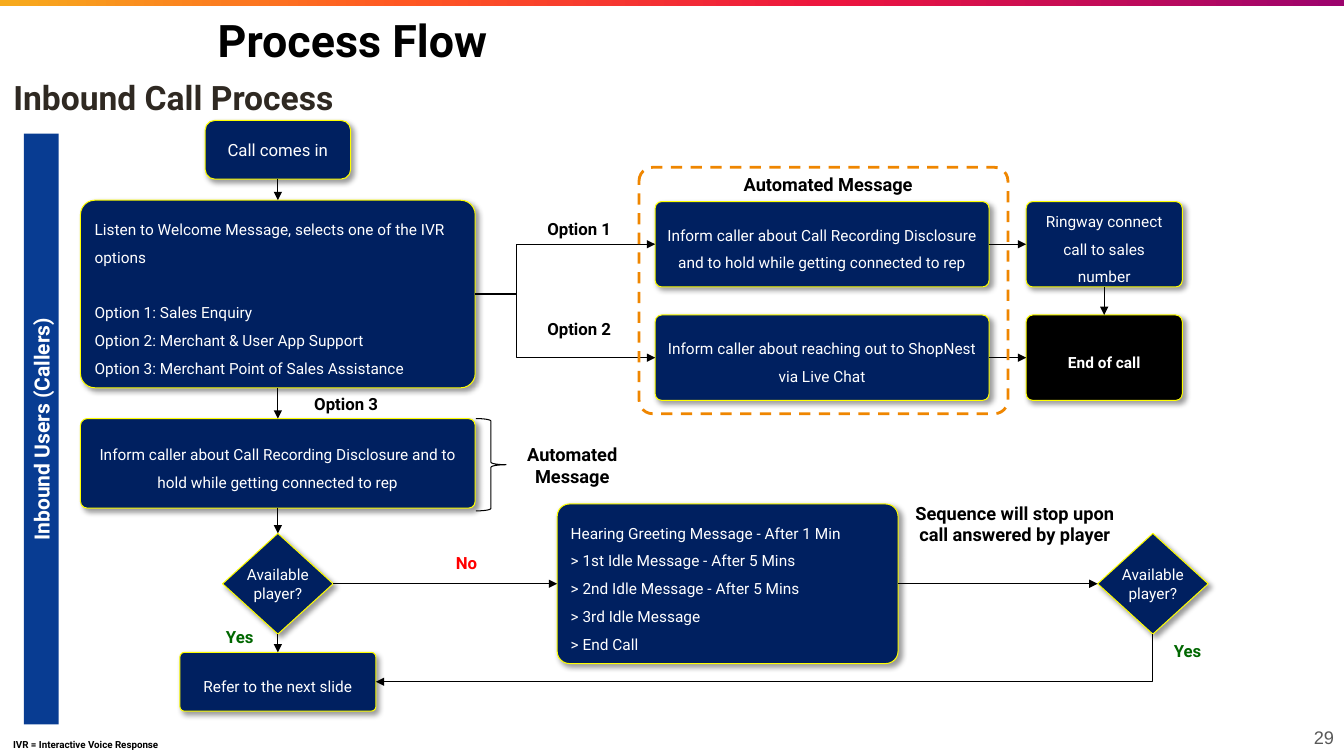
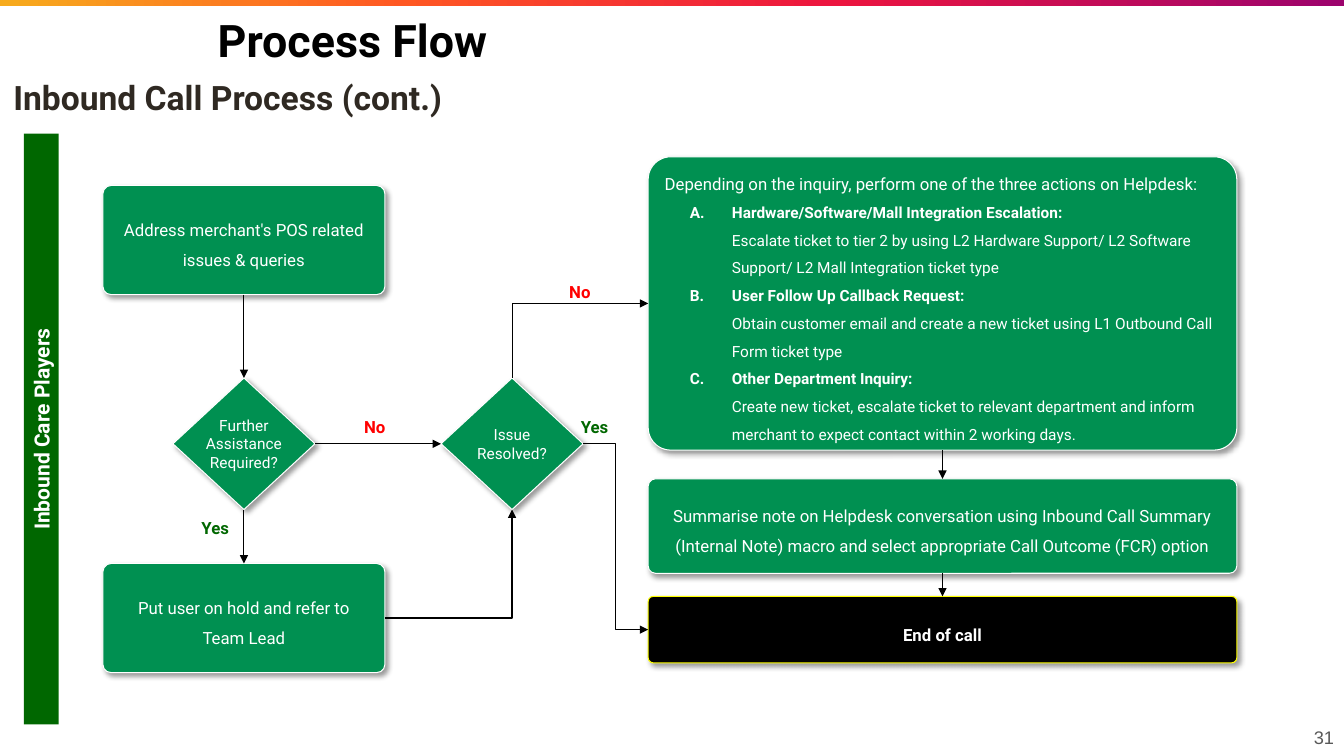
from dataclasses import dataclass

from lxml import etree
from pptx import Presentation
from pptx.dml.color import RGBColor
from pptx.enum.dml import MSO_LINE
from pptx.enum.shapes import MSO_CONNECTOR, MSO_SHAPE
from pptx.enum.text import MSO_ANCHOR, PP_ALIGN
from pptx.oxml.ns import qn
from pptx.util import Pt

LEFT, CENTER, RIGHT = PP_ALIGN.LEFT, PP_ALIGN.CENTER, PP_ALIGN.RIGHT
ANCHOR_TOP, ANCHOR_MIDDLE = MSO_ANCHOR.TOP, MSO_ANCHOR.MIDDLE
ROUNDED, DIAMOND, RECTANGLE = MSO_SHAPE.ROUNDED_RECTANGLE, MSO_SHAPE.DIAMOND, MSO_SHAPE.RECTANGLE
BRACE, DASH = MSO_SHAPE.RIGHT_BRACE, MSO_LINE.DASH
STRAIGHT, ELBOW = MSO_CONNECTOR.STRAIGHT, MSO_CONNECTOR.ELBOW
# Connection sites of rounded boxes and diamonds
NORTH, WEST, SOUTH, EAST = range(4)
CORNER = "corner"

COLORS = {
    "black": "000000", "white": "FFFFFF", "heading": "2F2922", "grey": "595959",
    "navy": "002060", "blue": "083C92", "green": "009051", "dark green": "006700",
    "yellow": "FFFF00", "red": "FF0000", "orange": "EF8600",
}
BAND_STOPS = [(0, "F7AB1D"), (30, "FF5722"), (62, "EC153F"), (100, "9C036D")]
LOOKS = {"navy": ("navy", "yellow"), "green": ("green", "white"), "end": ("black", "yellow")}
FONT = "Roboto"
LABEL_SIZE = (94.5, 24.5)
LABEL_INSETS = (9.4, 5)
BOX_INSETS = (7.2, 3.6)


@dataclass
class Node:
    """One step; a (heading, detail) pair among its lines becomes a lettered item."""
    place: tuple
    lines: list
    look: str = "navy"
    size: int = 11
    align: PP_ALIGN = CENTER
    shape: MSO_SHAPE = ROUNDED
    rounding: float = 0.077
    spacing: float = 1.5
    bold: bool = False
    gap_at: int = 0


def decision(place, lines, look):
    return Node(place, lines, look, shape=DIAMOND, spacing=1)


DISCLOSURE = ["Inform caller about Call Recording Disclosure and to hold while getting connected to rep"]
PLAYER = ["Available", "player?"]

CALLER_NODES = {
    "call": Node((146.5, 86, 104, 42), ["Call comes in"], size=12, rounding=0.167, spacing=1),
    "menu": Node((57.5, 143, 282, 134), [
        "Listen to Welcome Message, selects one of the IVR options",
        "Option 1: Sales Enquiry",
        "Option 2: Merchant & User App Support",
        "Option 3: Merchant Point of Sales Assistance"], align=LEFT, gap_at=1),
    "disclosure": Node((468, 144, 238.5, 61), DISCLOSURE),
    "chat": Node((468, 225, 238.5, 61), ["Inform caller about reaching out to ShopNest via Live Chat"]),
    "sales": Node((733, 144, 111.5, 61), ["Ringway connect call to sales number"]),
    "end": Node((733, 225, 111.5, 61), ["End of call"], "end", bold=True),
    "hold": Node((57.5, 299, 282, 64), DISCLOSURE),
    "idle": Node((398, 360, 243.5, 114), [
        "Hearing Greeting Message - After 1 Min", "> 1st Idle Message - After 5 Mins",
        "> 2nd Idle Message - After 5 Mins", "> 3rd Idle Message", "> End Call"], align=LEFT),
    "next": Node((128.5, 466, 140, 42), ["Refer to the next slide"]),
    "player": decision((159, 381, 79, 72), PLAYER, "navy"),
    "player later": decision((784, 381, 79, 72), PLAYER, "navy"),
}
# From, side, to, side, bend: None is straight, a number places the middle leg
CALLER_LINKS = [
    ("call", SOUTH, "menu", NORTH, None),
    ("menu", EAST, "disclosure", WEST, 0.23),
    ("menu", EAST, "chat", WEST, 0.23),
    ("disclosure", EAST, "sales", WEST, None),
    ("chat", EAST, "end", WEST, None),
    ("sales", SOUTH, "end", NORTH, None),
    ("menu", SOUTH, "hold", NORTH, None),
    ("hold", SOUTH, "player", NORTH, None),
    ("player", EAST, "idle", WEST, None),
    ("idle", EAST, "player later", WEST, None),
    ("player", SOUTH, "next", NORTH, None),
    ("player later", SOUTH, "next", EAST, CORNER),
]
# Text, place, colour, size
CALLER_LABELS = [
    ("Automated Message", (508.5, 119, 166, 25), "black", 13),
    ("Automated Message", (361.5, 312, 94.5, 41), "black", 13),
    ("Sequence will stop upon call answered by player", (641.5, 353.5, 166.5, 41), "black", 13),
    ("Option 1", (366.5, 151, *LABEL_SIZE), "black", 12),
    ("Option 2", (366.5, 223, *LABEL_SIZE), "black", 12),
    ("Option 3", (200, 276.5, *LABEL_SIZE), "black", 12),
    ("Yes", (124, 443, *LABEL_SIZE), "dark green", 12),
    ("No", (286, 390, *LABEL_SIZE), "red", 12),
    ("Yes", (801, 453, *LABEL_SIZE), "dark green", 12),
]

PLAYER_NODES = {
    "actions": Node((463, 112, 420.5, 209.5), [
        "Depending on the inquiry, perform one of the three actions on Helpdesk:",
        ("Hardware/Software/Mall Integration Escalation:",
         "Escalate ticket to tier 2 by using L2 Hardware Support/ L2 Software Support/ "
         "L2 Mall Integration ticket type"),
        ("User Follow Up Callback Request:",
         "Obtain customer email and create a new ticket using L1 Outbound Call Form ticket type"),
        ("Other Department Inquiry:",
         "Create new ticket, escalate ticket to relevant department and inform merchant "
         "to expect contact within 2 working days.")], "green", 12, LEFT),
    "summary": Node((463, 342, 420.5, 67.5), [
        "Summarise note on Helpdesk conversation using Inbound Call Summary "
        "(Internal Note) macro and select appropriate Call Outcome (FCR) option"], "green", 12),
    "end": Node((463, 426, 420.5, 47.5), ["End of call"], "end", 12, bold=True),
    "address": Node((73.5, 132.5, 201.5, 78), ["Address merchant's POS related issues & queries"], "green", 12),
    "hold": Node((73.5, 402.5, 201.5, 78), ["Put user on hold and refer to Team Lead"], "green", 12),
    "assistance": decision((123.5, 270, 101.5, 94), ["Further", "Assistance", "Required?"], "green"),
    "resolved": decision((315, 270, 101.5, 94), ["Issue", "Resolved?"], "green"),
}
PLAYER_LINKS = [
    ("address", SOUTH, "assistance", NORTH, None),
    ("assistance", SOUTH, "hold", NORTH, None),
    ("assistance", EAST, "resolved", WEST, None),
    ("hold", EAST, "resolved", SOUTH, CORNER),
    ("resolved", NORTH, "actions", WEST, CORNER),
    ("resolved", EAST, "end", WEST, 0.5),
    ("actions", SOUTH, "summary", NORTH, None),
    ("summary", SOUTH, "end", NORTH, None),
]
PLAYER_LABELS = [
    ("No", (220.5, 293, *LABEL_SIZE), "red", 12),
    ("Yes", (106.5, 365, *LABEL_SIZE), "dark green", 12),
    ("No", (367, 196, *LABEL_SIZE), "red", 12),
    ("Yes", (377.5, 292.5, *LABEL_SIZE), "dark green", 12),
]


def rgb(name):
    return RGBColor.from_string(COLORS[name])


def add_xml(parent, tag, **attributes):
    return etree.SubElement(parent, qn(tag), {key: str(value) for key, value in attributes.items()})


def add_span(paragraph, text, size, color, bold=False, font=FONT):
    span = paragraph.add_run()
    span.text = text
    span.font.name, span.font.size, span.font.bold = font, Pt(size), bold
    span.font.color.rgb = rgb(color)


def set_frame(shape, insets, anchor=ANCHOR_MIDDLE, wrap=True):
    frame = shape.text_frame
    frame.word_wrap, frame.vertical_anchor = wrap, anchor
    frame.margin_left = frame.margin_right = Pt(insets[0])
    frame.margin_top = frame.margin_bottom = Pt(insets[1])
    return frame


def add_text(slide, text, place, size, color, insets=(2, 2), align=LEFT,
             anchor=ANCHOR_MIDDLE, bold=True, font=FONT):
    box = slide.shapes.add_textbox(*map(Pt, place))
    para = set_frame(box, insets, anchor).paragraphs[0]
    para.alignment = align
    add_span(para, text, size, color, bold, font)


def add_shape(slide, kind, place, fill=None, line=None, width=0.75):
    shape = slide.shapes.add_shape(kind, *map(Pt, place))
    shape.shadow.inherit = False
    if fill:
        shape.fill.solid()
        shape.fill.fore_color.rgb = rgb(fill)
    else:
        shape.fill.background()
    if line:
        shape.line.color.rgb = rgb(line)
        shape.line.width = Pt(width)
    else:
        shape.line.fill.background()
    return shape


def add_shadow(shape):
    effects = shape._element.spPr.find(qn("a:effectLst"))
    shadow = add_xml(effects, "a:outerShdw", blurRad=Pt(4), dist=Pt(3), dir=45 * 60000,
                     algn="tl", rotWithShape=0)
    color = add_xml(shadow, "a:srgbClr", val=COLORS["black"])
    add_xml(color, "a:alpha", val=40000)


def add_node(slide, node):
    shape = add_shape(slide, node.shape, node.place, *LOOKS[node.look])
    add_shadow(shape)
    if node.shape == ROUNDED:
        shape.adjustments[0] = node.rounding
    frame = set_frame(shape, BOX_INSETS, wrap=node.shape != DIAMOND)
    for index, line in enumerate(node.lines):
        para = frame.add_paragraph() if index else frame.paragraphs[0]
        para.alignment, para.line_spacing = node.align, node.spacing
        if index and index == node.gap_at:
            para.space_before = Pt(20)
        if isinstance(line, str):
            add_span(para, line, node.size, "white", node.bold)
            continue
        heading, detail = line
        properties = para._p.get_or_add_pPr()
        properties.set("marL", str(Pt(48)))
        properties.set("indent", str(Pt(-30)))
        add_xml(properties, "a:buFont", typeface=FONT)
        add_xml(properties, "a:buAutoNum", type="alphaUcPeriod")
        add_span(para, heading, 11, "white", True)
        para.add_line_break()
        add_span(para, detail, 11, "white")
    return shape


def turn_upright(connector):
    """Turn a one-corner connector so that its first leg runs vertically."""
    down = connector.end_y > connector.begin_y
    left, top, width, height = connector.left, connector.top, connector.width, connector.height
    frame = connector._element.spPr.find(qn("a:xfrm"))
    for flip in ("flipH", "flipV"):
        frame.attrib.pop(flip, None)
    frame.set("rot", str((90 if down else 270) * 60000))
    connector.left, connector.top = left + (width - height) // 2, top + (height - width) // 2
    connector.width, connector.height = height, width


def add_link(slide, shapes, start, start_side, end, end_side, bend):
    connector = slide.shapes.add_connector(STRAIGHT if bend is None else ELBOW, 0, 0, 0, 0)
    connector.begin_connect(shapes[start], start_side)
    connector.end_connect(shapes[end], end_side)
    properties = connector._element.spPr
    geometry = properties.find(qn("a:prstGeom"))
    if bend == CORNER:
        geometry.set("prst", "bentConnector2")
        if start_side in (NORTH, SOUTH):
            turn_upright(connector)
    elif bend is not None:
        add_xml(geometry.find(qn("a:avLst")), "a:gd", name="adj1", fmla=f"val {round(bend * 100000)}")
    connector.line.color.rgb = rgb("black")
    connector.line.width = Pt(0.75)
    add_xml(properties.find(qn("a:ln")), "a:tailEnd", type="triangle")
    add_xml(properties, "a:effectLst")


def add_band(slide):
    band = add_shape(slide, RECTANGLE, (0, 0, 960, 4.5))
    properties = band._element.spPr
    gradient = etree.Element(qn("a:gradFill"))
    stops = add_xml(gradient, "a:gsLst")
    for position, color in BAND_STOPS:
        add_xml(add_xml(stops, "a:gs", pos=position * 1000), "a:srgbClr", val=color)
    add_xml(gradient, "a:lin", ang=0, scaled=0)
    properties.replace(properties.find(qn("a:noFill")), gradient)


def add_flow(deck, heading, number, lane, lane_color, nodes, links, labels):
    slide = deck.slides.add_slide(deck.slide_layouts[6])
    add_band(slide)
    add_text(slide, str(number), (926, 514, 34, 24.5), 13, "grey", (7.2, 7.2), RIGHT, bold=False, font="Arial")
    add_text(slide, "Process Flow", (153.5, 1, 609, 55), 32, "black")
    add_text(slide, heading, (7.5, 55, 776, 29), 24, "heading")
    bar = add_shape(slide, RECTANGLE, (-181.5, 294, 422, 25), lane_color)
    bar.rotation = 270
    para = set_frame(bar, BOX_INSETS).paragraphs[0]
    para.alignment = CENTER
    add_span(para, lane, 15, "white", True)
    shapes = {name: add_node(slide, node) for name, node in nodes.items()}
    for link in links:
        add_link(slide, shapes, *link)
    for text, place, color, size in labels:
        add_text(slide, text, place, size, color, LABEL_INSETS, CENTER, ANCHOR_TOP)
    return slide


def main():
    deck = Presentation()
    deck.slide_width, deck.slide_height = Pt(960), Pt(540)
    callers = add_flow(deck, "Inbound Call Process", 29, "Inbound Users (Callers)", "blue",
                       CALLER_NODES, CALLER_LINKS, CALLER_LABELS)
    automated = add_shape(callers, ROUNDED, (456.5, 119.5, 263.5, 176), line="orange", width=2)
    automated.adjustments[0] = 0.055
    automated.line.dash_style = DASH
    add_shape(callers, BRACE, (340, 299, 21.5, 66), line="black")
    add_text(callers, "IVR = Interactive Voice Response", (0, 525.5, 490, 13), 7, "black", (9.4, 0))
    add_flow(deck, "Inbound Call Process (cont.)", 31, "Inbound Care Players", "dark green",
             PLAYER_NODES, PLAYER_LINKS, PLAYER_LABELS)
    deck.save("out.pptx")


if __name__ == "__main__":
    main()
